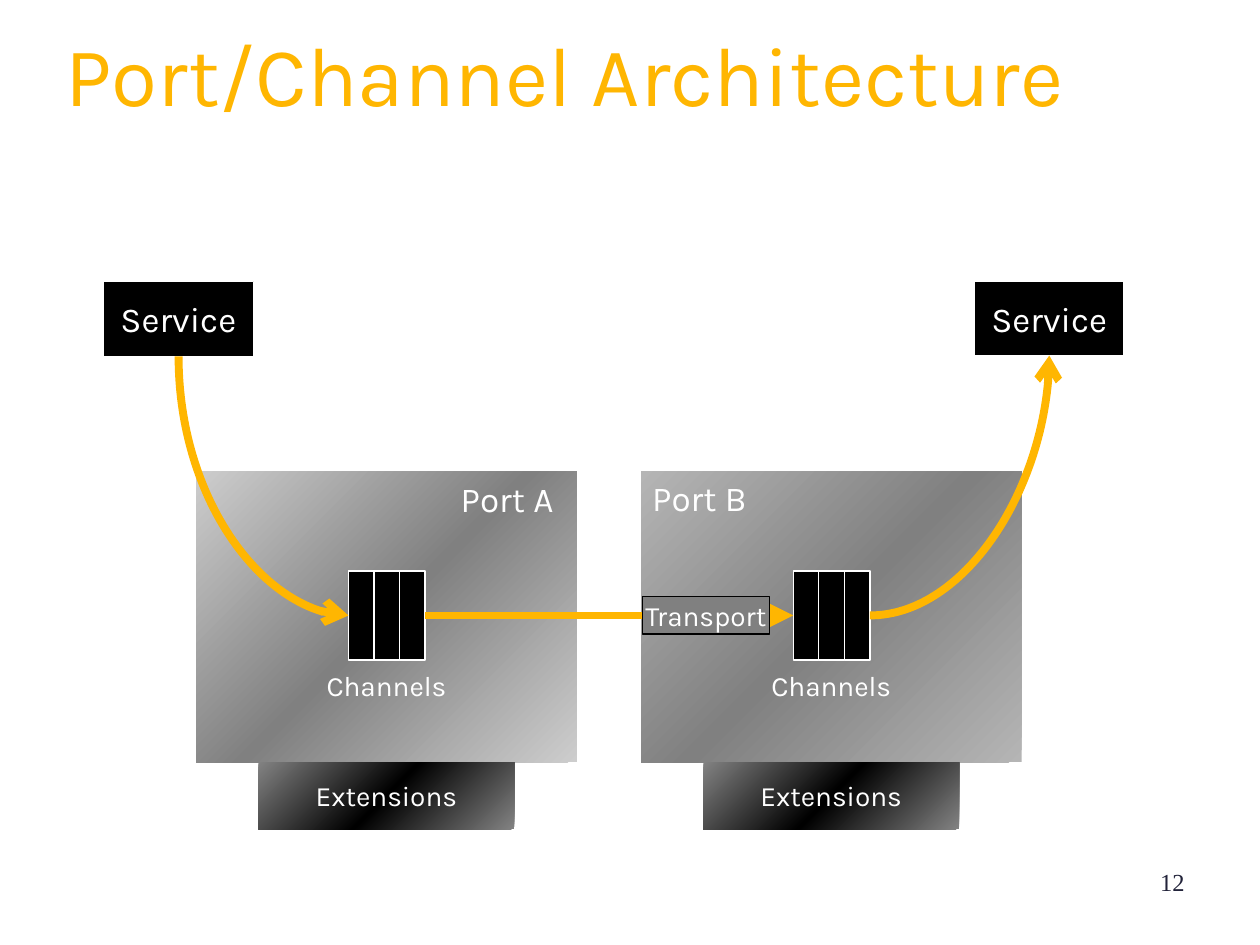
"""Build the Port/Channel Architecture slide."""
from dataclasses import dataclass

from pptx import Presentation
from pptx.dml.color import RGBColor
from pptx.enum.shapes import MSO_CONNECTOR as Link, MSO_SHAPE as Shape
from pptx.enum.text import MSO_ANCHOR as Anchor, PP_ALIGN as Align
from pptx.oxml import parse_xml
from pptx.oxml.ns import nsdecls, qn
from pptx.oxml.xmlchemy import OxmlElement
from pptx.util import Pt


@dataclass(frozen=True)
class Theme:
    """Colours, fonts and sizes of the slide."""
    accent: str = "FFB601"
    black: str = "000000"
    white: str = "FFFFFF"
    grey: str = "808080"
    number: str = "22233A"
    extension: tuple = ("828282", "000000", "828282")
    font: str = "Karla"
    number_font: str = "Times New Roman"
    title_size: int = 48
    large: int = 20
    small: int = 16
    number_size: int = 14
    hairline: float = 0.75
    flow: float = 4.5


THEME = Theme()
TITLE = ("Port/Channel Architecture", (30.2, 18, 661, 56.2))
SERVICES = [("Service", (59, 160.8, 86, 42.8)), ("Service", (556.9, 160.8, 85.4, 42.4))]
PORTS = [
    {"name": "Port A", "left": 112.1, "name_at": (256.2, 269.3), "edge": "CDCDCD"},
    {"name": "Port B", "left": 366.3, "name_at": (365.6, 268.6), "edge": "B5B5B5"},
]
PORT_TOP, PORT_WIDTH, PORT_HEIGHT = 269.2, 217.5, 166.4
CHANNELS = "Channels"
CHANNELS_DROP = 82
BAR_COUNT, BAR_OFFSET, BAR_TOP, BAR_WIDTH, BAR_HEIGHT = 3, 87, 326.3, 14.6, 50.8
EXTENSIONS = "Extensions"
EXTENSION_OFFSET, EXTENSION_WIDTH, EXTENSION_HEIGHT = 35.6, 146.2, 38.2
TRANSPORT = ("Transport", (367, 340.8, 72.8, 21.6))
PAGE_NUMBER = ("12", (516.2, 491.8, 167.8, 37.4))


def points(values):
    return [Pt(value) for value in values]


def colour(value):
    return RGBColor.from_string(value)


def write(shape, text, size, color=THEME.white, font=THEME.font, align=Align.CENTER,
          anchor=Anchor.MIDDLE, wrap=False):
    frame = shape.text_frame
    frame.word_wrap = wrap
    frame.vertical_anchor = anchor
    para = frame.paragraphs[0]
    para.alignment = align
    span = para.add_run()
    span.text = text
    span.font.size, span.font.name = Pt(size), font
    span.font.color.rgb = colour(color)
    return span


def add_box(shapes, at, fill, line=None, kind=Shape.RECTANGLE):
    box = shapes.add_shape(kind, *points(at))
    box.shadow.inherit = False
    if isinstance(fill, tuple):
        shade(box, fill)
    else:
        box.fill.solid()
        box.fill.fore_color.rgb = colour(fill)
    if line:
        box.line.color.rgb = colour(line)
        box.line.width = Pt(THEME.hairline)
    else:
        box.line.fill.background()
    return box


def shade(box, colours):
    step = 100000 // (len(colours) - 1)
    stops = "".join(f'<a:gs pos="{i * step}"><a:srgbClr val="{value}"/></a:gs>'
                    for i, value in enumerate(colours))
    box.fill.gradient()
    properties = box._element.spPr
    properties.replace(properties.find(qn("a:gradFill")), parse_xml(
        f'<a:gradFill {nsdecls("a")} rotWithShape="1"><a:gsLst>{stops}</a:gsLst>'
        f'<a:lin ang="{225 * 60000}" scaled="0"/></a:gradFill>'))


def add_flow(shapes, kind, start, end, head):
    flow = shapes.add_connector(kind, *points((*start, *end)))
    flow.line.color.rgb = colour(THEME.accent)
    flow.line.width = Pt(THEME.flow)
    tip = OxmlElement("a:tailEnd")
    tip.set("type", head)
    flow.line._get_or_add_ln().append(tip)
    flow._element.spPr.append(OxmlElement("a:effectLst"))
    return flow


def add_curve(shapes, start, end, leaves_down):
    if leaves_down:
        middle_x, middle_y = (start[0] + end[0]) / 2, (start[1] + end[1]) / 2
        half_x, half_y = abs(end[1] - start[1]) / 2, abs(end[0] - start[0]) / 2
        start = (middle_x + half_x, middle_y - half_y)
        end = (middle_x - half_x, middle_y + half_y)
    curve = add_flow(shapes, Link.CURVE, start, end, "arrow")
    properties = curve._element.spPr
    properties.find(qn("a:prstGeom")).set("prst", "curvedConnector2")
    if leaves_down:
        properties.find(qn("a:xfrm")).set("rot", str(270 * 60000))


def add_title(slide):
    text, at = TITLE
    title = slide.shapes.title
    title.left, title.top, title.width, title.height = points(at)
    span = write(title, text, THEME.title_size, THEME.accent, align=Align.LEFT, wrap=True)
    title.text_frame.paragraphs[0].line_spacing = 0.85
    span.font._element.find(qn("a:solidFill")).addnext(parse_xml(
        f'<a:effectLst {nsdecls("a")}><a:outerShdw dist="25400" dir="2700000">'
        f'<a:srgbClr val="{THEME.black}"/></a:outerShdw></a:effectLst>'))


def add_port(shapes, port):
    left = port["left"]
    box = add_box(shapes, (left, PORT_TOP, PORT_WIDTH, PORT_HEIGHT),
                  (port["edge"], THEME.grey, port["edge"]))
    write(box, CHANNELS, THEME.small)
    box.text_frame.margin_top = Pt(CHANNELS_DROP)
    label = shapes.add_textbox(*points((*port["name_at"], 72, 31.7)))
    write(label, port["name"], THEME.large, align=Align.LEFT, anchor=Anchor.TOP)
    group = shapes.add_group_shape()
    return [add_box(group.shapes, (left + BAR_OFFSET + i * BAR_WIDTH, BAR_TOP, BAR_WIDTH, BAR_HEIGHT),
                    THEME.black, THEME.white, Shape.FLOWCHART_PROCESS) for i in range(BAR_COUNT)]


def main():
    deck = Presentation()
    deck.slide_width, deck.slide_height = Pt(720), Pt(540)
    slide = deck.slides.add_slide(deck.slide_layouts[5])
    shapes = slide.shapes
    add_title(slide)

    for text, at in SERVICES:
        box = add_box(shapes, at, THEME.black, THEME.white, Shape.FLOWCHART_PROCESS)
        write(box, text, THEME.large)
    sender, receiver = [add_port(shapes, port) for port in PORTS]

    feet = [(left + width / 2, top + height) for _, (left, top, width, height) in SERVICES]
    flow_y = BAR_TOP + BAR_HEIGHT / 2
    entry = (PORTS[0]["left"] + BAR_OFFSET, flow_y)
    leave = (PORTS[1]["left"] + BAR_OFFSET + BAR_COUNT * BAR_WIDTH, flow_y)
    add_curve(shapes, feet[0], entry, leaves_down=True)
    add_curve(shapes, leave, feet[1], leaves_down=False)

    flow = add_flow(shapes, Link.STRAIGHT, entry, leave, "triangle")
    flow.begin_connect(sender[-1], 3)
    flow.end_connect(receiver[0], 1)
    text, at = TRANSPORT
    write(add_box(shapes, at, THEME.grey, THEME.black), text, THEME.small)

    for port in PORTS:
        at = (port["left"] + EXTENSION_OFFSET, PORT_TOP + PORT_HEIGHT, EXTENSION_WIDTH, EXTENSION_HEIGHT)
        write(add_box(shapes, at, THEME.extension), EXTENSIONS, THEME.small)

    text, at = PAGE_NUMBER
    write(shapes.add_textbox(*points(at)), text, THEME.number_size, THEME.number,
          THEME.number_font, Align.RIGHT, Anchor.TOP, wrap=True)
    deck.save("out.pptx")


if __name__ == "__main__":
    main()
